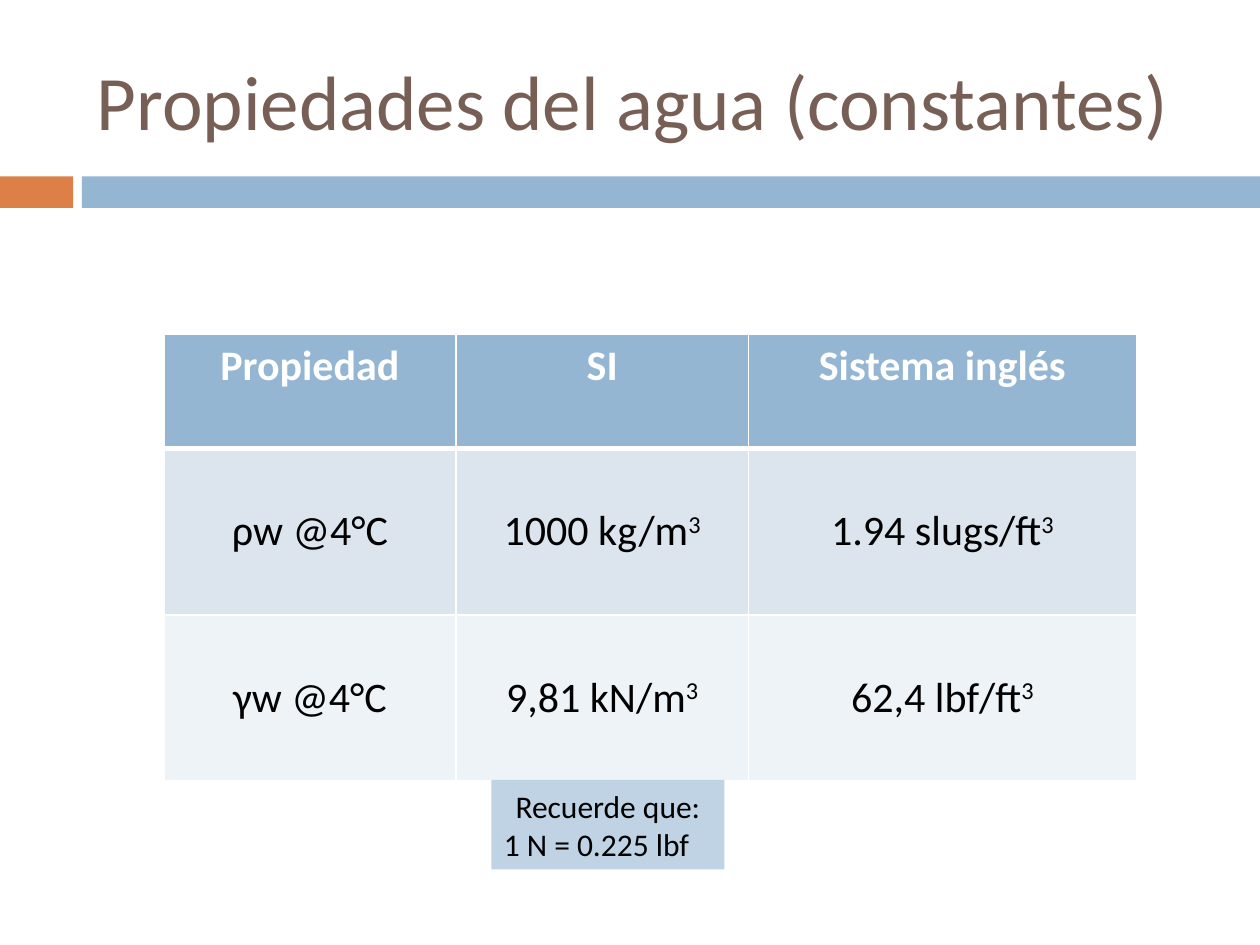
from typing import NamedTuple

from lxml.etree import SubElement
from pptx import Presentation
from pptx.dml.color import RGBColor
from pptx.enum.shapes import MSO_SHAPE as Shape
from pptx.enum.text import MSO_ANCHOR as Anchor, PP_ALIGN as Align
from pptx.oxml.ns import qn
from pptx.util import Inches, Pt

BLUE, WHITE, BLACK = "94B6D2", "FFFFFF", "000000"


class Box(NamedTuple):
    left: float
    top: float
    width: float
    height: float
    fill: str


class Row(NamedTuple):
    height: float
    fill: str
    cells: list[tuple[str, str]]  # text and its exponent


BARS = [Box(0, 1.4, 0.58, 0.25, "DD8047"), Box(0.65, 1.4, 9.35, 0.25, BLUE)]
NOTE = Box(3.9, 6.19, 1.85, 0.71, "BFD3E4")
COLS = [2.32, 2.32, 3.08]
ROWS = [
    Row(0.91, BLUE, [("Propiedad", ""), ("SI", ""), ("Sistema inglés", "")]),
    Row(1.32, "DCE5EE", [("ρw @4°C", ""), ("1000 kg/m", "3"), ("1.94 slugs/ft", "3")]),
    Row(1.32, "EEF3F7", [("γw @4°C", ""), ("9,81 kN/m", "3"), ("62,4 lbf/ft", "3")]),
]


def color(code: str) -> RGBColor:
    return RGBColor.from_string(code)


def paint(item, code: str) -> None:
    item.fill.solid()
    item.fill.fore_color.rgb = color(code)


def write(para, text: str, *, size: float, ink: str = BLACK, bold: bool = False,
          align=Align.LEFT, power: str = "") -> None:
    """Fill a paragraph, with an optional raised exponent at its end."""
    para.alignment = align
    for part in filter(None, (text, power)):
        run = para.add_run()
        run.text = part
        font = run.font
        font.name, font.size, font.bold = "Calibri", Pt(size), bold
        font.color.rgb = color(ink)
    if power:
        run.font._element.set("baseline", "30000")


def draw_box(slide, box: Box):
    shape = slide.shapes.add_shape(Shape.RECTANGLE, *map(Inches, box[:4]))
    shape.shadow.inherit = False
    paint(shape, box.fill)
    shape.line.fill.background()
    return shape


def add_title(slide, text: str) -> None:
    area = map(Inches, (0.67, 0.25, 8.92, 1.08))
    frame = slide.shapes.add_textbox(*area).text_frame
    frame.word_wrap = True
    frame.vertical_anchor = Anchor.MIDDLE
    write(frame.paragraphs[0], text, size=44, ink="775F55")


def edge(cell, **widths: float) -> None:
    """Draw white cell borders, given in schema order with widths in points."""
    props = cell._tc.get_or_add_tcPr()
    for at, (side, width) in enumerate(widths.items()):
        line = SubElement(props, qn(f"a:{side}"), w=str(Pt(width)))
        solid = SubElement(line, qn("a:solidFill"))
        SubElement(solid, qn("a:srgbClr"), val=WHITE)
        props.insert(at, line)


def add_grid(slide) -> None:
    size = (sum(COLS), sum(row.height for row in ROWS))
    area = map(Inches, (1.3, 2.65, *size))
    table = slide.shapes.add_table(len(ROWS), len(COLS), *area).table
    for col, width in zip(table.columns, COLS):
        col.width = Inches(width)
    for r, row in enumerate(ROWS):
        table.rows[r].height = Inches(row.height)
        head = r == 0
        for c, (text, power) in enumerate(row.cells):
            cell = table.cell(r, c)
            paint(cell, row.fill)
            edge(cell, lnL=1, lnR=1, lnT=3 if r == 1 else 1, lnB=3 if head else 1)
            cell.vertical_anchor = Anchor.TOP if head else Anchor.MIDDLE
            write(cell.text_frame.paragraphs[0], text, size=24, bold=head,
                  ink=WHITE if head else BLACK, align=Align.CENTER, power=power)


def add_note(slide) -> None:
    frame = draw_box(slide, NOTE).text_frame
    frame.word_wrap = False
    write(frame.paragraphs[0], "Recuerde que:", size=18, align=Align.CENTER)
    write(frame.add_paragraph(), "1 N = 0.225 lbf", size=18)


def main() -> None:
    deck = Presentation()
    deck.slide_width, deck.slide_height = Inches(10), Inches(7.5)
    slide = deck.slides.add_slide(deck.slide_layouts[6])
    for bar in BARS:
        draw_box(slide, bar)
    add_title(slide, "Propiedades del agua (constantes)")
    add_grid(slide)
    add_note(slide)
    deck.save("out.pptx")


if __name__ == "__main__":
    main()
